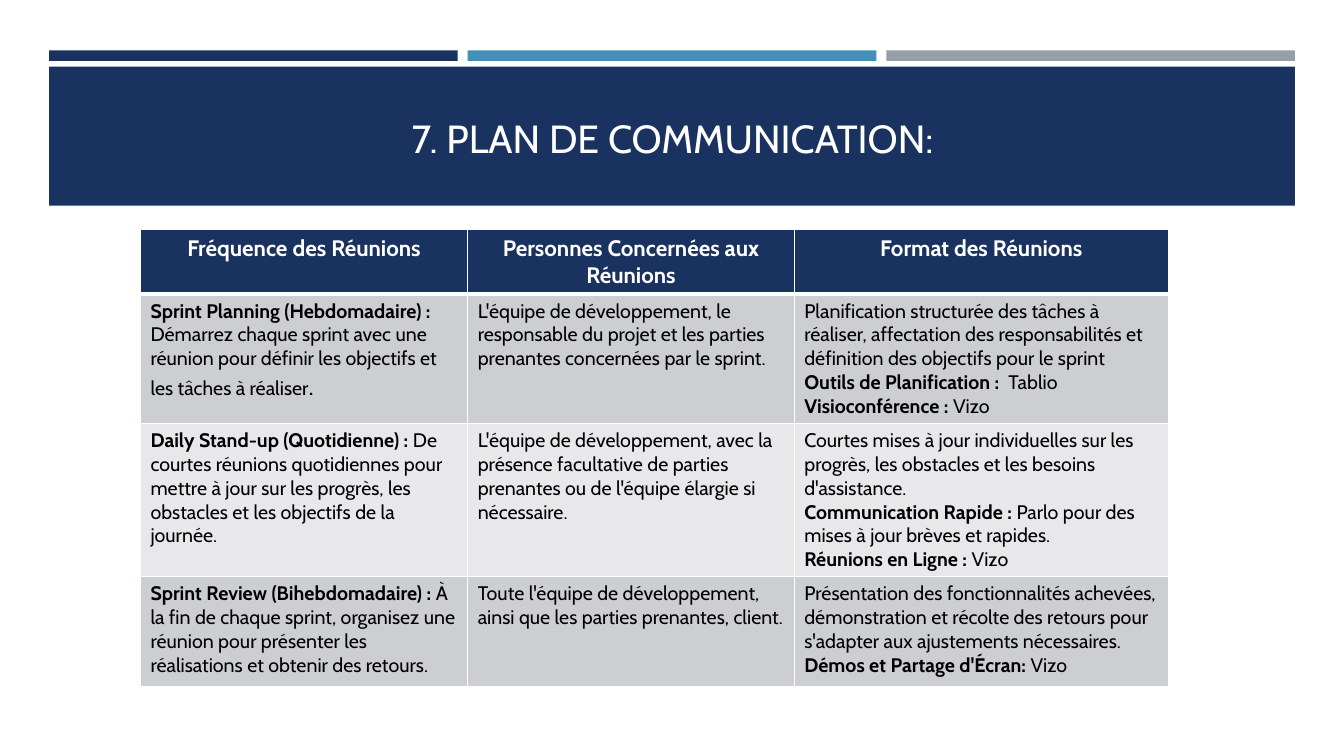
import pptx
import pptx.dml.color
import pptx.enum.shapes
import pptx.enum.text
import pptx.oxml
import pptx.oxml.ns
import pptx.util

COLORS = {
    "navy": "1A3260", "blue": "4590B8", "gray": "969FA7",
    "white": "FFFFFF", "black": "000000", "dark_row": "CDCED2", "light_row": "E8E8EA",
}
FONT = "Cabin"
CENTER = pptx.enum.text.PP_ALIGN.CENTER
LEFT = pptx.enum.text.PP_ALIGN.LEFT


def rgb(name):
    return pptx.dml.color.RGBColor.from_string(COLORS[name])


class SlideBuilder:
    """Places elements on a grid of 100 columns by 100 rows."""

    def __init__(self, deck):
        self.column = deck.slide_width / 100
        self.row = deck.slide_height / 100
        self.slide = deck.slides.add_slide(deck.slide_layouts[5])

    def box(self, left, top, width, height):
        return (round(left * self.column), round(top * self.row),
                round(width * self.column), round(height * self.row))

    def add_runs(self, paragraph, runs, color, align=LEFT):
        """Each run is (text, size, bold)."""
        paragraph.alignment = align
        for text, size, bold in runs:
            run = paragraph.add_run()
            run.text = text
            run.font.name = FONT
            run.font.size = pptx.util.Pt(size)
            run.font.bold = bold
            run.font.color.rgb = rgb(color)

    def bar(self, place, color):
        bar = self.slide.shapes.add_shape(
            pptx.enum.shapes.MSO_SHAPE.RECTANGLE, *self.box(*place))
        bar.shadow.inherit = False
        bar.fill.solid()
        bar.fill.fore_color.rgb = rgb(color)
        bar.line.fill.background()

    def title(self, place, text):
        heading = self.slide.shapes.title
        heading.left, heading.top, heading.width, heading.height = self.box(*place)
        frame = heading.text_frame
        frame.word_wrap = True
        frame.auto_size = pptx.enum.text.MSO_AUTO_SIZE.NONE
        frame.vertical_anchor = pptx.enum.text.MSO_ANCHOR.BOTTOM
        self.add_runs(frame.paragraphs[0], [(text, 28, False)], "white", CENTER)
        # Bring the heading in front of the band
        self.slide.shapes.element.append(heading.element)

    def borders(self, cell, top, bottom):
        properties = cell._tc.get_or_add_tcPr()
        for side, points in (("L", 1), ("R", 1), ("T", top), ("B", bottom)):
            properties.append(pptx.oxml.parse_xml(
                f'<a:ln{side} {pptx.oxml.ns.nsdecls("a")} w="{pptx.util.Pt(points)}">'
                f'<a:solidFill><a:srgbClr val="{COLORS["white"]}"/></a:solidFill>'
                f'</a:ln{side}>'))

    def cell(self, cell, paragraphs, fill, color, align, top, bottom):
        self.borders(cell, top, bottom)
        cell.fill.solid()
        cell.fill.fore_color.rgb = rgb(fill)
        frame = cell.text_frame
        for index, runs in enumerate(paragraphs):
            paragraph = frame.add_paragraph() if index else frame.paragraphs[0]
            self.add_runs(paragraph, runs, color, align)

    def table(self, left, top, widths, heights, headings, meetings):
        table = self.slide.shapes.add_table(
            len(heights), len(widths),
            *self.box(left, top, sum(widths), sum(heights))).table
        for column, width in zip(table.columns, widths):
            column.width = round(width * self.column)
        for row, height in zip(table.rows, heights):
            row.height = round(height * self.row)
        for c, heading in enumerate(headings):
            self.cell(table.cell(0, c), [[(heading, 16, True)]],
                      "navy", "white", CENTER, 1, 3)
        for r, meeting in enumerate(meetings, 1):
            fill = "dark_row" if r % 2 else "light_row"
            for c, paragraphs in enumerate(meeting):
                self.cell(table.cell(r, c), paragraphs, fill, "black", LEFT,
                          3 if r == 1 else 1, 1)


def plain(text):
    return (text, 14, False)


def strong(text):
    return (text, 14, True)


HEADINGS = ["Fréquence des Réunions", "Personnes Concernées aux Réunions",
            "Format des Réunions"]
SPRINT_PLANNING = [
    [[strong("Sprint Planning (Hebdomadaire) :"),
      plain(" Démarrez chaque sprint avec une réunion pour définir les objectifs "
            "et les tâches à réaliser"),
      (".", 18, False)]],
    [[plain("L'équipe de développement, le responsable du projet et les parties "
            "prenantes concernées par le sprint.")]],
    [[plain("Planification structurée des tâches à réaliser, affectation des "
            "responsabilités et définition des objectifs pour le sprint")],
     [strong("Outils de Planification :  "), plain("Tablio")],
     [strong("Visioconférence :"), plain(" Vizo")]],
]
DAILY_STAND_UP = [
    [[strong("Daily Stand-up (Quotidienne) :"),
      plain(" De courtes réunions quotidiennes pour mettre à jour sur les progrès, "
            "les obstacles et les objectifs de la journée.")]],
    [[plain("L'équipe de développement, avec la présence facultative de parties "
            "prenantes ou de l'équipe élargie si nécessaire.")]],
    [[plain("Courtes mises à jour individuelles sur les progrès, les obstacles et "
            "les besoins d'assistance.")],
     [strong("Communication Rapide :"),
      plain(" Parlo pour des mises à jour brèves et rapides.")],
     [strong("Réunions en Ligne :"), plain(" Vizo")]],
]
SPRINT_REVIEW = [
    [[strong("Sprint Review (Bihebdomadaire) : "),
      plain("À la fin de chaque sprint, organisez une réunion pour présenter les "
            "réalisations et obtenir des retours.")]],
    [[plain("Toute l'équipe de développement, ainsi que les parties prenantes, "
            "client.")]],
    [[plain("Présentation des fonctionnalités achevées, démonstration et récolte "
            "des retours pour s'adapter aux ajustements nécessaires.")],
     [strong("Démos et Partage d'Écran:"), plain(" Vizo")]],
]


def main():
    deck = pptx.Presentation()
    deck.slide_width = pptx.util.Inches(13.33)
    deck.slide_height = pptx.util.Inches(7.5)
    page = SlideBuilder(deck)

    # Three accent bars above the title band
    margin, band_width, gap = 3.65, 92.7, 0.75
    accent_width = (band_width - 2 * gap) / 3
    for i, color in enumerate(("navy", "blue", "gray")):
        page.bar((margin + i * (accent_width + gap), 6.67, accent_width, 1.4), color)

    # Title band and heading
    page.bar((margin, 8.8, band_width, 18.4), "navy")
    page.title((4.8, 7.6, 90.45, 14.4), "7. PLAN DE COMMUNICATION:")

    # Meeting table
    page.table(10.45, 30.4, (24.35, 24.3, 27.83), (7.6, 16.4, 19.47, 14.53),
               HEADINGS, (SPRINT_PLANNING, DAILY_STAND_UP, SPRINT_REVIEW))

    deck.save("out.pptx")


if __name__ == "__main__":
    main()
